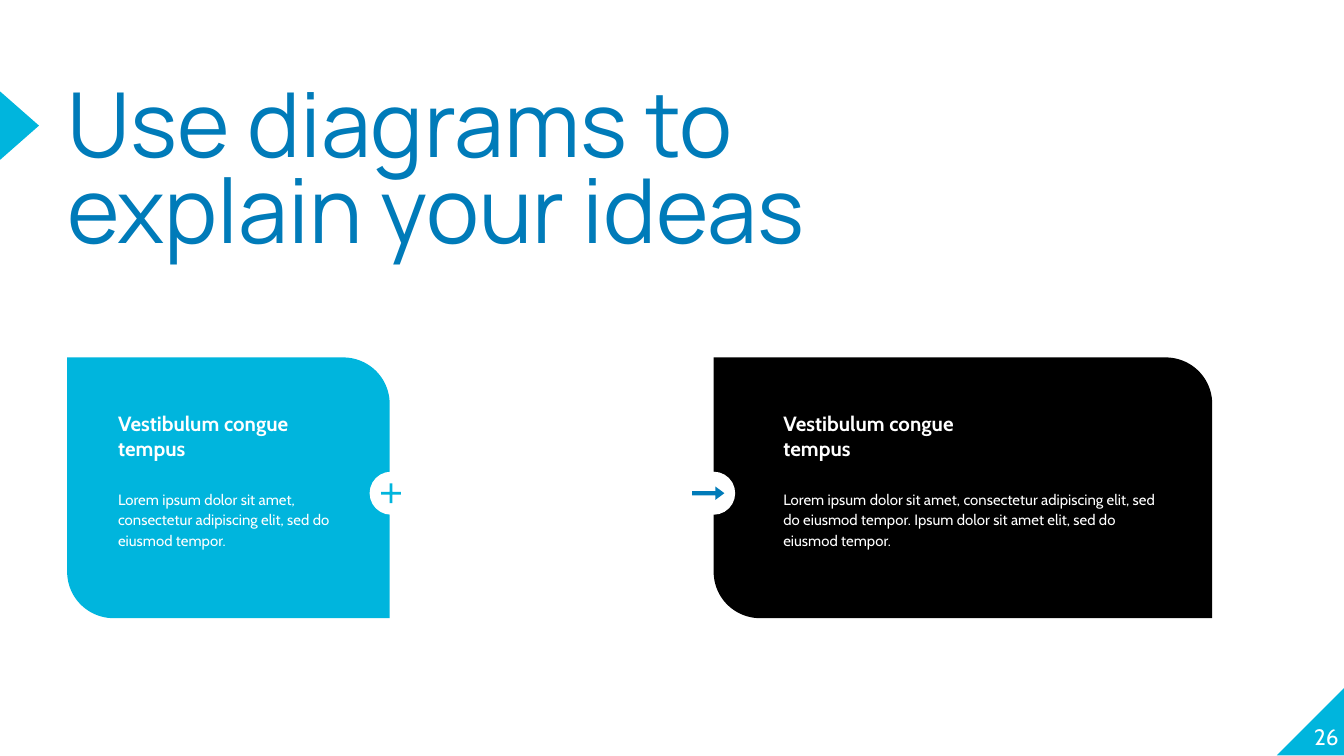
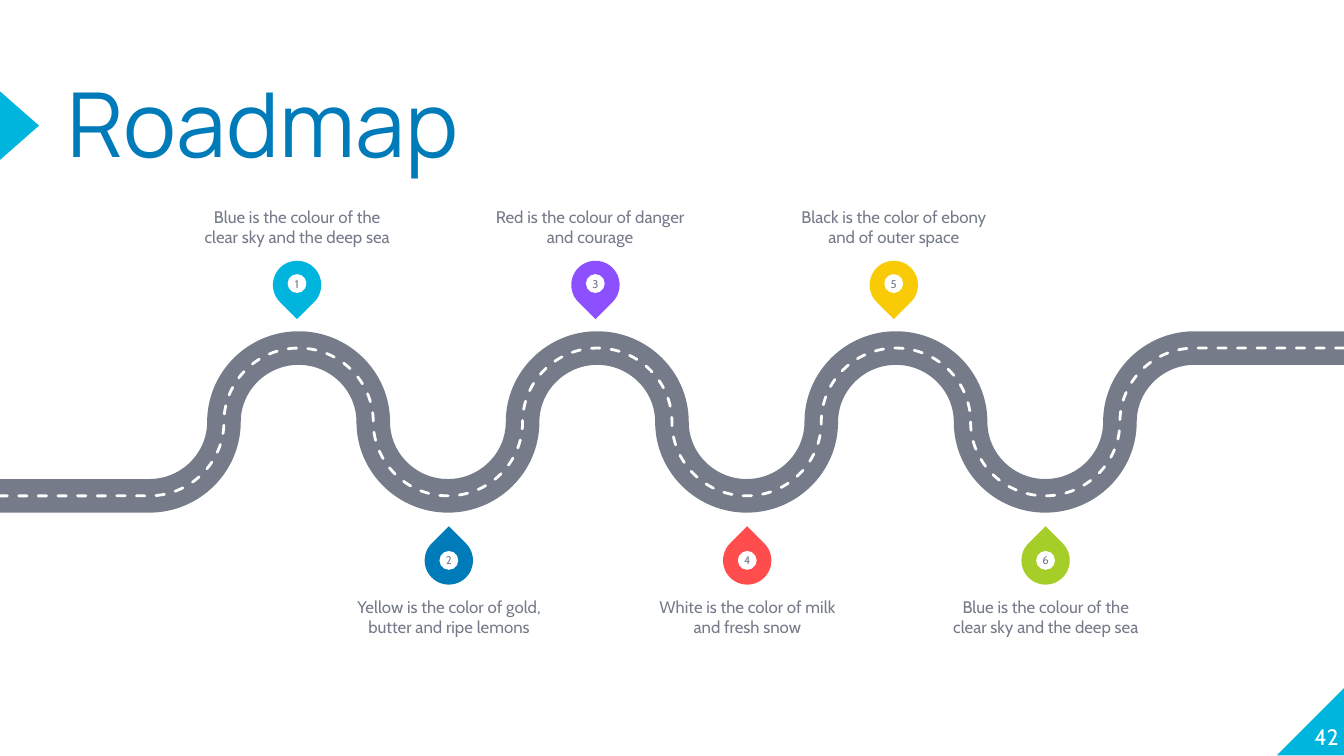
import math

import lxml.etree
import pptx
import pptx.dml.color
import pptx.enum.dml
import pptx.enum.shapes
import pptx.enum.text
import pptx.oxml.ns
import pptx.util
from pptx.util import Inches

RGBColor = pptx.dml.color.RGBColor
SHAPE = pptx.enum.shapes.MSO_SHAPE
ALIGN = pptx.enum.text.PP_ALIGN
ANCHOR = pptx.enum.text.MSO_ANCHOR
qn = pptx.oxml.ns.qn

CYAN = RGBColor(0x00, 0xB5, 0xDD)
BLUE = RGBColor(0x00, 0x7B, 0xB9)
PURPLE = RGBColor(0x8C, 0x50, 0xFF)
RED = RGBColor(0xFF, 0x4D, 0x4D)
YELLOW = RGBColor(0xF9, 0xCB, 0x07)
GREEN = RGBColor(0xA6, 0xCE, 0x28)
GREY = RGBColor(0x75, 0x7B, 0x89)
BLACK = RGBColor(0, 0, 0)
WHITE = RGBColor(255, 255, 255)

TITLE_FONT = "Manrope"
BODY_FONT = "Cabin"
SLIDE_W, SLIDE_H = 10, 5.625

CARD_TOP, CARD_H = 2.66, 1.94
BADGE_SIZE = 0.32
BADGE_DROP = 1.01

ROAD_RADIUS = SLIDE_W / 18
ROAD_TOP, ROAD_H = 2.59, 1.1
ARC_PULL = 0.55
PIN_SIZE, NUMBER_SIZE = 0.36, 0.14
PIN_STEP = 2.22
CAPTION_W, CAPTION_H = 1.41, 0.58

# Text, pin colour, sideways nudge of the caption
STOPS = [
    ("Blue is the colour of the clear sky and the deep sea", CYAN, 0),
    ("Yellow is the color of gold, butter and ripe lemons", BLUE, 0),
    ("Red is the colour of danger and courage", PURPLE, -0.04),
    ("White is the color of milk and fresh snow", RED, 0),
    ("Black is the color of ebony and of outer space", YELLOW, 0),
    ("Blue is the colour of the clear sky and the deep sea", GREEN, 0),
]


def add_filled(slide, kind, left, top, width, height, fill, rotation=0, adjust=()):
    shape = slide.shapes.add_shape(
        kind, Inches(left), Inches(top), Inches(width), Inches(height))
    shape.shadow.inherit = False
    shape.fill.solid()
    shape.fill.fore_color.rgb = fill
    shape.line.fill.background()
    shape.rotation = rotation
    for index, value in enumerate(adjust):
        shape.adjustments[index] = value
    return shape


def write(shape, text, size, color, font=BODY_FONT, bold=False, align=ALIGN.LEFT,
          anchor=ANCHOR.TOP, inset=0, spacing=None, after=None):
    frame = shape.text_frame
    frame.word_wrap = True
    frame.auto_size = pptx.enum.text.MSO_AUTO_SIZE.NONE
    frame.vertical_anchor = anchor
    frame.margin_left = frame.margin_right = Inches(inset)
    frame.margin_top = frame.margin_bottom = Inches(inset)
    frame.text = text
    paragraph = frame.paragraphs[0]
    paragraph.alignment = align
    if spacing:
        paragraph.line_spacing = spacing
    if after:
        paragraph.space_after = pptx.util.Pt(after)
    for run in paragraph.runs:
        run.font.name = font
        run.font.size = pptx.util.Pt(size)
        run.font.bold = bold
        run.font.color.rgb = color


def add_text(slide, left, top, width, height, text, size, color, **style):
    box = slide.shapes.add_textbox(
        Inches(left), Inches(top), Inches(width), Inches(height))
    write(box, text, size, color, **style)


def add_titled_slide(deck, heading, page):
    """Add a slide with the shared title, marker and page corner."""
    slide = deck.slides.add_slide(deck.slide_layouts[5])
    add_filled(slide, SHAPE.RIGHT_TRIANGLE, 9.5, 5.11, 0.51, 0.51, CYAN, rotation=270)
    add_filled(slide, SHAPE.ISOSCELES_TRIANGLE, -0.11, 0.79, 0.51, 0.29, CYAN, rotation=90)
    title = slide.shapes.title
    title.left, title.top = Inches(0.5), Inches(0.66)
    title.width, title.height = Inches(6.17), Inches(1.18)
    write(title, heading, 48, BLUE, font=TITLE_FONT, spacing=0.8)
    add_text(slide, 9.46, 5.07, 0.5, 0.51, page, 12, WHITE,
             align=ALIGN.RIGHT, anchor=ANCHOR.BOTTOM)
    return slide


def add_card(slide, left, width, fill, indent, text_width, heading, body):
    add_filled(slide, SHAPE.ROUND_2_DIAG_RECTANGLE, left, CARD_TOP, width, CARD_H,
               fill, adjust=(0, 0.178))
    text_left = left + indent
    add_text(slide, text_left, CARD_TOP + 0.3, text_width, 0.57, heading, 11, WHITE,
             bold=True, inset=0.1)
    add_text(slide, text_left, CARD_TOP + 0.87, text_width, 0.63, body, 8, WHITE,
             inset=0.1, spacing=1.15, after=16)


def add_badge(slide, center, kind, icon_left, icon_w, icon_h, color, adjust):
    """Place a white disc with an icon on the side of a card."""
    middle = CARD_TOP + BADGE_DROP
    add_filled(slide, SHAPE.OVAL, center - BADGE_SIZE / 2, middle - BADGE_SIZE / 2,
               BADGE_SIZE, BADGE_SIZE, WHITE)
    add_filled(slide, kind, icon_left, middle - icon_h / 2, icon_w, icon_h,
               color, adjust=adjust)


def build_diagram(deck):
    slide = add_titled_slide(deck, "Use diagrams to explain your ideas", "26")
    lorem = "Lorem ipsum dolor sit amet, consectetur adipiscing elit, sed do eiusmod tempor."
    add_card(slide, 0.5, 2.4, CYAN, 0.28, 1.79, "Vestibulum congue tempus", lorem)
    add_card(slide, 5.31, 3.71, BLACK, 0.42, 2.99, "Vestibulum congue\vtempus",
             lorem + " Ipsum dolor sit amet elit, sed do eiusmod tempor.")
    add_badge(slide, 5.31, SHAPE.RIGHT_ARROW, 5.15, 0.24, 0.1, BLUE, (0.32, 0.67))
    add_badge(slide, 2.91, SHAPE.MATH_PLUS, 2.81, 0.2, 0.2, CYAN, (0.099,))


def road_points():
    """List the ends of the quarter bends from right to left."""
    middle = ROAD_TOP + ROAD_H / 2
    bends = [(ROAD_RADIUS * quarter,
              middle - ROAD_H / 2 * math.cos(math.pi / 2 * quarter))
             for quarter in range(16, 1, -1)]
    return [(SLIDE_W, ROAD_TOP), *bends, (0, ROAD_TOP + ROAD_H)]


def round_bends(road):
    """Turn each slanted segment into a quarter bend, flat and upright ends alternating."""
    flat_start = True
    points = list(road.element.iter(qn("a:pt")))
    ends = [(int(point.get("x")), int(point.get("y"))) for point in points]
    for (x1, y1), (x2, y2), point in zip(ends, ends[1:], points[1:]):
        if abs(x1 - x2) < 10 or abs(y1 - y2) < 10:
            continue
        pull_x, pull_y = ARC_PULL * (x2 - x1), ARC_PULL * (y2 - y1)
        if flat_start:
            controls = [(x1 + pull_x, y1), (x2, y2 - pull_y)]
        else:
            controls = [(x1, y1 + pull_y), (x2 - pull_x, y2)]
        flat_start = not flat_start
        segment = point.getparent()
        curve = lxml.etree.Element(qn("a:cubicBezTo"))
        for x, y in controls:
            lxml.etree.SubElement(curve, qn("a:pt"), x=str(round(x)), y=str(round(y)))
        segment.getparent().replace(segment, curve)
        curve.append(point)


def add_road(slide, color, width, dash=None):
    start, *rest = [(Inches(x), Inches(y)) for x, y in road_points()]
    builder = slide.shapes.build_freeform(*start)
    builder.add_line_segments(rest, close=False)
    road = builder.convert_to_shape()
    round_bends(road)
    road.shadow.inherit = False
    road.fill.background()
    road.line.color.rgb = color
    road.line.width = pptx.util.Pt(width)
    if dash:
        road.line.dash_style = dash
        road.element.spPr.find(qn("a:ln")).set("cap", "rnd")


def add_stop(slide, number, center, above, caption, color, nudge):
    """Place a numbered pin and its caption above or below the road."""
    pin_middle, number_middle = (2.12, 2.11) if above else (4.17, 4.17)
    add_filled(slide, SHAPE.TEAR, center - PIN_SIZE / 2, pin_middle - PIN_SIZE / 2,
               PIN_SIZE, PIN_SIZE, color, rotation=135 if above else 315)
    disc = add_filled(slide, SHAPE.OVAL, center - NUMBER_SIZE / 2,
                      number_middle - NUMBER_SIZE / 2, NUMBER_SIZE, NUMBER_SIZE, WHITE)
    write(disc, str(number), 6, GREY, align=ALIGN.CENTER, anchor=ANCHOR.MIDDLE)
    add_text(slide, center - CAPTION_W / 2 + nudge, 1.26 if above else 4.44,
             CAPTION_W, CAPTION_H, caption, 9, GREY, align=ALIGN.CENTER,
             anchor=ANCHOR.BOTTOM if above else ANCHOR.TOP)


def build_roadmap(deck):
    slide = add_titled_slide(deck, "Roadmap", "42")
    add_road(slide, GREY, 18)
    add_road(slide, WHITE, 1.5, pptx.enum.dml.MSO_LINE.DASH)
    for index, (caption, color, nudge) in enumerate(STOPS):
        above = index % 2 == 0
        center = (2.21 if above else 3.34) + PIN_STEP * (index // 2)
        add_stop(slide, index + 1, center, above, caption, color, nudge)


def main():
    deck = pptx.Presentation()
    deck.slide_width, deck.slide_height = Inches(SLIDE_W), Inches(SLIDE_H)
    build_diagram(deck)
    build_roadmap(deck)
    deck.save("out.pptx")


if __name__ == "__main__":
    main()
